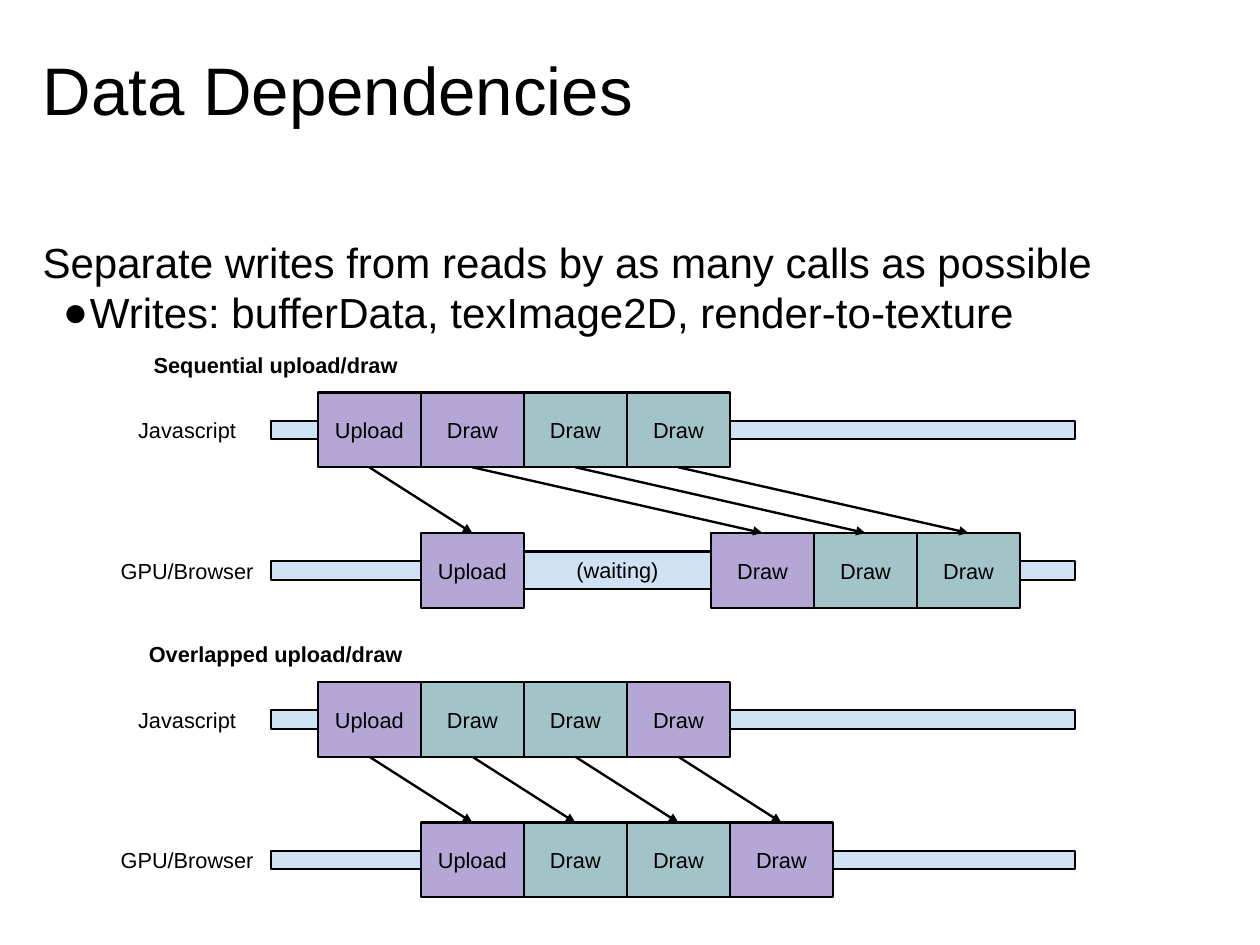
from lxml.etree import SubElement
from pptx import Presentation
from pptx.dml.color import RGBColor
from pptx.enum.shapes import MSO_CONNECTOR, MSO_SHAPE
from pptx.enum.text import MSO_ANCHOR, MSO_AUTO_SIZE, PP_ALIGN
from pptx.oxml.ns import qn
from pptx.util import Pt

BLACK = RGBColor(0x00, 0x00, 0x00)
PURPLE = RGBColor(0xB4, 0xA7, 0xD6)
TEAL = RGBColor(0xA2, 0xC4, 0xC9)
PALE_BLUE = RGBColor(0xCF, 0xE2, 0xF3)

BOX_W, BOX_H = 65.4, 47.5
FIRST_X = 201.8
GPU_X = FIRST_X + BOX_W
WAIT_X, WAIT_W = GPU_X + BOX_W, 118.8
GPU_DROP = 89.2

UPLOAD = ("Upload", PURPLE)
DEPENDENT = ("Draw", PURPLE)
INDEPENDENT = ("Draw", TEAL)


def format_runs(p, size, bold=False):
    for r in p.runs:
        r.font.name = "Arial"
        r.font.size = Pt(size)
        r.font.bold = bold
        r.font.color.rgb = BLACK


def fill_placeholder(sp, top, height, inset_top, lines, size):
    sp.left, sp.top, sp.width, sp.height = Pt(24), Pt(top), Pt(758), Pt(height)
    tf = sp.text_frame
    tf.text = "\n".join(lines)
    tf.auto_size = MSO_AUTO_SIZE.NONE
    tf.vertical_anchor = MSO_ANCHOR.TOP
    tf.margin_left = tf.margin_right = tf.margin_bottom = Pt(3)
    tf.margin_top = Pt(inset_top)
    for p in tf.paragraphs:
        p.alignment = PP_ALIGN.LEFT
        p.space_before = Pt(0)
        format_runs(p, size)


def set_bullet(p, char=None, left=0, hanging=0):
    """Give the paragraph a bullet, or none when char is missing."""
    pPr = p._p.get_or_add_pPr()
    pPr.set("marL", str(Pt(left)))
    pPr.set("indent", str(-Pt(hanging)))
    if char:
        SubElement(pPr, qn("a:buFont"), typeface="Arial")
        SubElement(pPr, qn("a:buChar"), char=char)
    else:
        SubElement(pPr, qn("a:buNone"))


def center_text(sp, text, bold=False):
    tf = sp.text_frame
    tf.text = text
    tf.word_wrap = True
    tf.vertical_anchor = MSO_ANCHOR.MIDDLE
    tf.margin_left = tf.margin_right = tf.margin_top = tf.margin_bottom = Pt(7.2)
    tf.paragraphs[0].alignment = PP_ALIGN.CENTER
    format_runs(tf.paragraphs[0], 13.8, bold)


def add_label(s, x, y, w, text, bold=False):
    sp = s.shapes.add_textbox(Pt(x), Pt(y), Pt(w), Pt(35))
    center_text(sp, text, bold)


def add_box(s, x, y, w, h, color, text=""):
    sp = s.shapes.add_shape(MSO_SHAPE.RECTANGLE, Pt(x), Pt(y), Pt(w), Pt(h))
    sp.shadow.inherit = False
    sp.fill.solid()
    sp.fill.fore_color.rgb = color
    sp.line.color.rgb = BLACK
    sp.line.width = Pt(1.5)
    if text:
        center_text(sp, text)
    return sp


def add_arrow(s, source, target):
    """Join the bottom of one box to the top of another."""
    c = s.shapes.add_connector(MSO_CONNECTOR.STRAIGHT, 0, 0, 0, 0)
    c.begin_connect(source, 2)
    c.end_connect(target, 0)
    c.line.color.rgb = BLACK
    c.line.width = Pt(1.5)
    spPr = c._element.spPr
    SubElement(spPr.find(qn("a:ln")), qn("a:tailEnd"), type="triangle")
    SubElement(spPr, qn("a:effectLst"))


def add_track(s, name, top, calls, xs):
    """Draw one timeline and return its call boxes."""
    add_label(s, 65.5, top + 6.2, 106.5, name)
    add_box(s, 172, top + 18, 510.6, 11.8, PALE_BLUE)
    return [add_box(s, x, top, BOX_W, BOX_H, color, text)
            for x, (text, color) in zip(xs, calls)]


def add_timeline(s, heading, top, calls, wait=0):
    """Draw both tracks, delaying the draws on the GPU by wait."""
    add_label(s, 82.8, top - 35.2, 184.4, heading, bold=True)
    js_xs = [FIRST_X + i * BOX_W for i in range(len(calls))]
    gpu_xs = [x + BOX_W + (wait if i else 0) for i, x in enumerate(js_xs)]
    js_boxes = add_track(s, "Javascript", top, calls, js_xs)
    gpu_boxes = add_track(s, "GPU/Browser", top + GPU_DROP, calls, gpu_xs)
    if wait:
        add_box(s, WAIT_X, top + GPU_DROP + 11.8, wait, 23.8, PALE_BLUE, "(waiting)")
    for source, target in zip(js_boxes, gpu_boxes):
        add_arrow(s, source, target)


def main():
    prs = Presentation()
    prs.slide_width, prs.slide_height = Pt(800), Pt(600)
    s = prs.slides.add_slide(prs.slide_layouts[1])

    fill_placeholder(s.shapes.title, 24, 78, 6.5, ["Data Dependencies"], 42.7)
    body = s.placeholders[1]
    fill_placeholder(body, 144, 438, 6, [
        "Separate writes from reads by as many calls as possible",
        "Writes: bufferData, texImage2D, render-to-texture",
    ], 26.7)
    intro, writes = body.text_frame.paragraphs
    set_bullet(intro)
    set_bullet(writes, "●", left=30, hanging=17)

    add_timeline(s, "Sequential upload/draw", 249.2,
                 [UPLOAD, DEPENDENT, INDEPENDENT, INDEPENDENT], wait=WAIT_W)
    add_timeline(s, "Overlapped upload/draw", 433,
                 [UPLOAD, INDEPENDENT, INDEPENDENT, DEPENDENT])
    prs.save("out.pptx")


if __name__ == "__main__":
    main()
